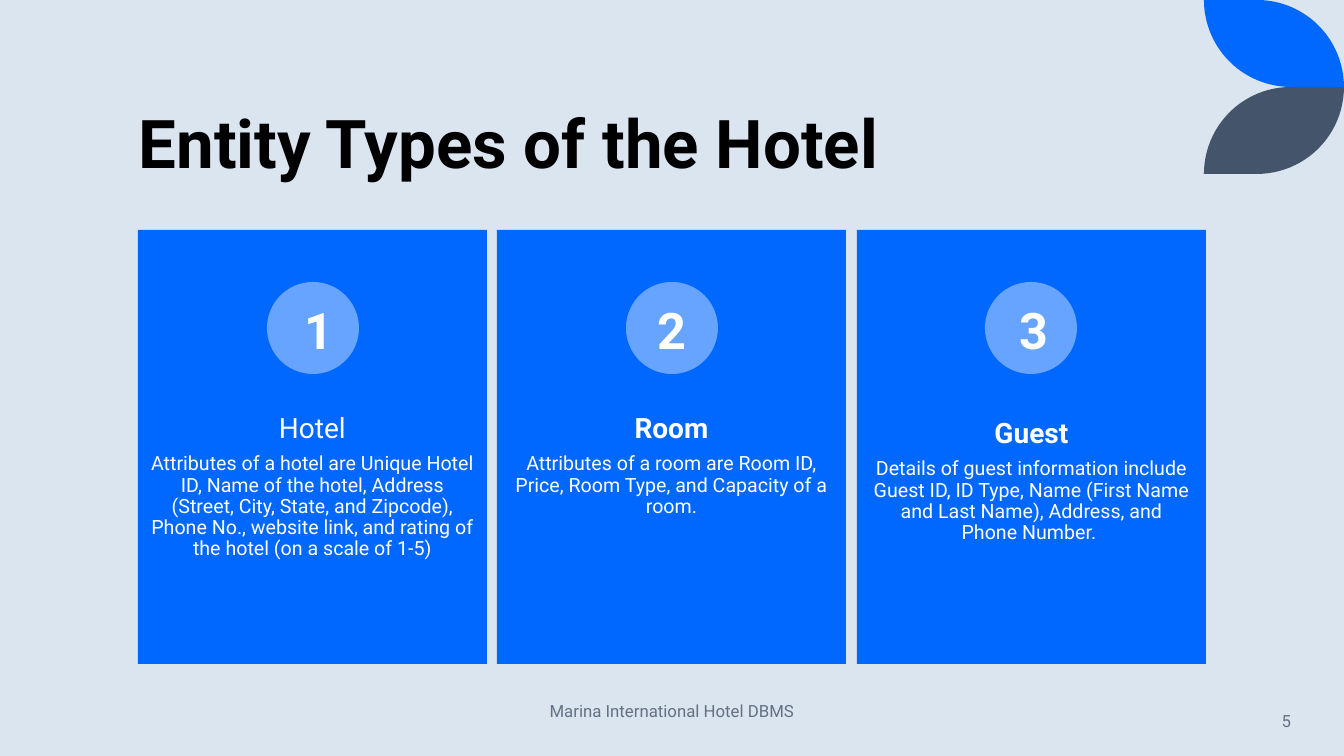
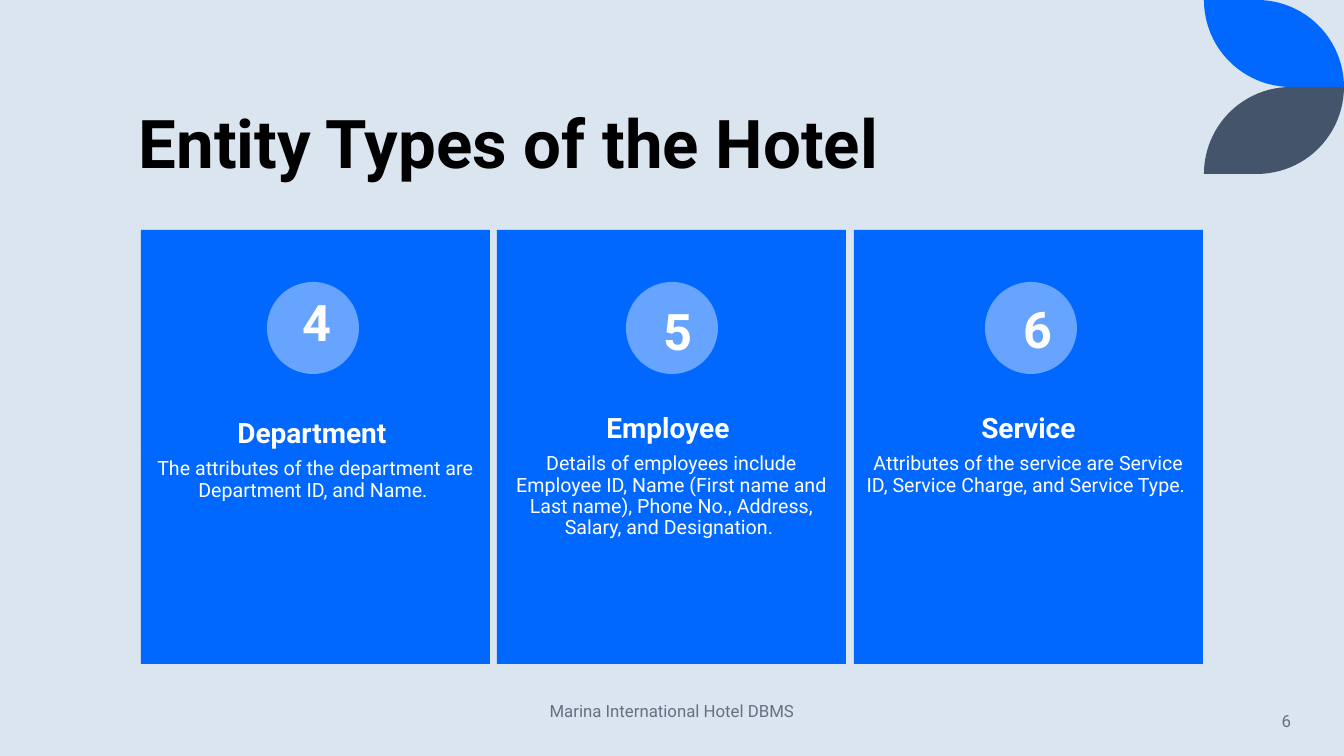
"""Build the hotel entity slides."""
from dataclasses import dataclass
from math import cos, pi, sin

from pptx import Presentation
from pptx.dml.color import RGBColor as Rgb
from pptx.enum.shapes import MSO_SHAPE as Form
from pptx.enum.text import MSO_ANCHOR as Anchor, MSO_AUTO_SIZE as Fit, PP_ALIGN as Align
from pptx.util import Emu, Pt

WIDTH, HEIGHT = 1344, 756
SCALE = 12192000 / WIDTH


@dataclass(frozen=True)
class Theme:
    """Hold colours, font and type sizes."""
    font: str = "Roboto"
    back: str = "DAE5EF"
    blue: str = "0068FF"
    slate: str = "44546A"
    disc: str = "66A4FF"
    ink: str = "000000"
    white: str = "FFFFFF"
    grey: str = "637183"
    title: int = 48
    digit: int = 36
    head: int = 20
    body: int = 14
    foot: int = 12


@dataclass(frozen=True)
class Card:
    """Describe one numbered entity card."""
    digit: str
    spot: tuple
    head: str
    body: str
    inset: int = 11
    bold: bool = True


THEME = Theme()
TITLE = "Entity Types of the Hotel"
FOOTER = "Marina International Hotel DBMS"
PAGES = [
    (5, 138, [
        Card("1", (295, 294), "Hotel",
             "Attributes of a hotel are Unique Hotel ID, Name of the hotel, Address "
             "(Street, City, State, and Zipcode), Phone No., website link, and rating "
             "of the hotel (on a scale of 1-5)", bold=False),
        Card("2", (648, 294), "Room",
             "Attributes of a room are Room ID, Price, Room Type, and Capacity of a room."),
        Card("3", (1010, 294), "Guest",
             "Details of guest information include Guest ID, ID Type, Name (First Name "
             "and Last Name), Address, and Phone Number. ", inset=16),
    ]),
    (6, 141, [
        Card("4", (293, 286), "Department ",
             "The attributes of the department are Department ID, and Name. ", inset=16),
        Card("5", (654, 295), "Employee ",
             "Details of employees include Employee ID, Name (First name and Last name), "
             "Phone No., Address, Salary, and Designation. "),
        Card("6", (1014, 293), "Service",
             "Attributes of the service are Service ID, Service Charge, and Service Type. "),
    ]),
]


def px(size):
    """Turn pixels into EMU."""
    return Emu(round(size * SCALE))


def spread(left, width, index):
    """Return the left edge of one of three items centred on the slide."""
    return left + index * (WIDTH - 2 * left - width) // 2


def write(frame, text, *, size, color, bold=False, align=Align.CENTER, line=1.0, after=0):
    """Add one formatted paragraph to a text frame."""
    first = frame.paragraphs[0]
    para = frame.add_paragraph() if first.runs else first
    para.alignment, para.line_spacing, para.space_after = align, line, Pt(after)
    run = para.add_run()
    run.text = text
    font = run.font
    font.name, font.size, font.bold = THEME.font, Pt(size), bold
    font.color.rgb = Rgb.from_string(color)


class Deck:
    """Hold the theme and the current slide."""

    def __init__(self, theme):
        """Open an empty wide deck."""
        self.theme = theme
        self.show = Presentation()
        self.show.slide_width, self.show.slide_height = px(WIDTH), px(HEIGHT)

    def paint(self, shape, color):
        """Give a shape a plain fill."""
        shape.shadow.inherit = False
        shape.fill.solid()
        shape.fill.fore_color.rgb = Rgb.from_string(color)
        shape.line.fill.background()

    def shape(self, form, area, color):
        """Draw a preset shape."""
        self.paint(self.shapes.add_shape(form, *map(px, area)), color)

    def frame(self, area, anchor=Anchor.TOP, inset=None):
        """Add a wrapping text box and return its frame."""
        frame = self.shapes.add_textbox(*map(px, area)).text_frame
        frame.word_wrap, frame.vertical_anchor = True, anchor
        if inset is not None:
            frame.margin_left = frame.margin_right = px(inset)
            frame.margin_top = frame.margin_bottom = px(inset)
        return frame

    def leaf(self, color, axis, side):
        """Draw a leaf of two quarter arcs above or below an axis."""
        radius, steps = 87, 24
        turns = [pi / 2 * step / steps for step in range(steps + 1)]
        right = [(WIDTH - radius * (1 - sin(turn)), radius * cos(turn)) for turn in turns]
        left = [(WIDTH - 53 - radius * sin(turn), radius * (1 - cos(turn))) for turn in turns]
        points = [(px(x), px(axis + side * y)) for x, y in right + left]
        path = self.shapes.build_freeform(*points[0])
        path.add_line_segments(points[1:])
        self.paint(path.convert_to_shape(), color)

    def page(self, number):
        """Start a slide with its leaves, title and footer."""
        look = self.theme
        slide = self.show.slides.add_slide(self.show.slide_layouts[6])
        self.shapes = slide.shapes
        fill = slide.background.fill
        fill.solid()
        fill.fore_color.rgb = Rgb.from_string(look.back)
        self.leaf(look.blue, 87, -1)
        self.leaf(look.slate, 87, 1)
        write(self.frame((129, 42, 1078, 146), Anchor.BOTTOM), TITLE, size=look.title,
              color=look.ink, bold=True, align=Align.LEFT, line=0.9)
        write(self.frame((445, 691, 454, 40), Anchor.MIDDLE), FOOTER,
              size=look.foot, color=look.grey)
        write(self.frame((1119, 701, 182, 40), Anchor.MIDDLE), str(number),
              size=look.foot, color=look.grey, align=Align.RIGHT)

    def card(self, card, left, disc):
        """Draw a card with its disc, digit and text."""
        look = self.theme
        self.shape(Form.RECTANGLE, (left, 230, 349, 434), look.blue)
        self.shape(Form.OVAL, (disc, 282, 92, 92), look.disc)
        frame = self.frame((left, 403, 349, 173), inset=card.inset)
        write(frame, card.head, size=look.head, color=look.white,
              bold=card.bold, line=0.9, after=7)
        write(frame, card.body, size=look.body, color=look.white, line=0.9, after=2)
        digit = self.frame((*card.spot, 38, 72))
        digit.auto_size = Fit.SHAPE_TO_FIT_TEXT
        write(digit, card.digit, size=look.digit, color=look.white, bold=True)


def main():
    """Build and save the deck."""
    deck = Deck(THEME)
    for number, left, cards in PAGES:
        deck.page(number)
        for index, card in enumerate(cards):
            deck.card(card, spread(left, 349, index), spread(267, 92, index))
    deck.show.save("out.pptx")


if __name__ == "__main__":
    main()
